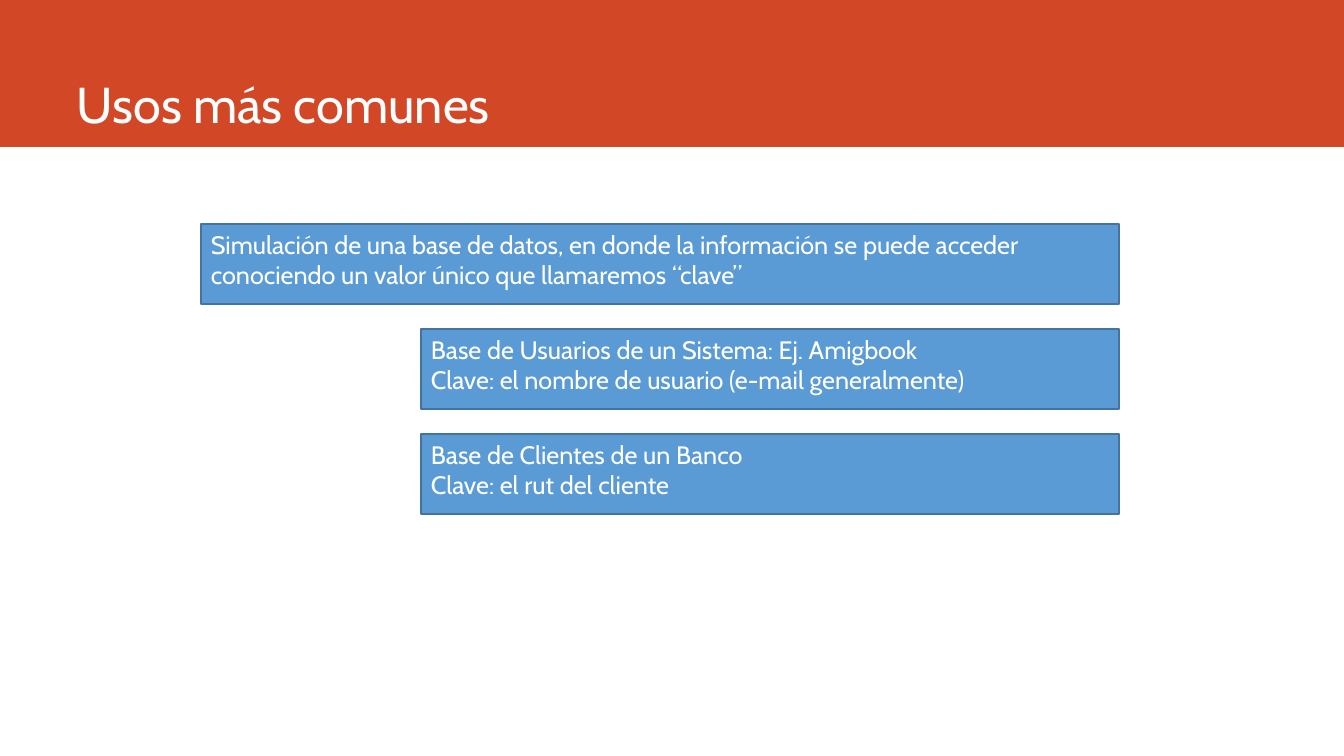
from pptx import Presentation
from pptx import util as u
from pptx.dml.color import RGBColor
from pptx.enum import shapes, text

EMU_PER_PX = 914400 / 100.8
FONT = "Cabin"
COLORS = {"band": "D24726", "box": "5B9BD5", "border": "43739E", "text": "FFFFFF"}
BOX_RIGHT, BOX_TOP, BOX_HEIGHT, BOX_PITCH = 1119, 224, 80, 105
BOXES = [
    (201, ["Simulación de una base de datos, en donde la información se puede "
           "acceder conociendo un valor único que llamaremos “clave”"]),
    (421, ["Base de Usuarios de un Sistema: Ej. Amigbook",
           "Clave: el nombre de usuario (e-mail generalmente)"]),
    (421, ["Base de Clientes de un Banco", "Clave: el rut del cliente"]),
]


def px(n):
    return u.Emu(round(n * EMU_PER_PX))


def color(name):
    return RGBColor.from_string(COLORS[name])


def add_rect(s, x, y, w, h, fill, border=None):
    sp = s.shapes.add_shape(shapes.MSO_SHAPE.RECTANGLE, px(x), px(y), px(w), px(h))
    sp.shadow.inherit = False
    sp.fill.solid()
    sp.fill.fore_color.rgb = color(fill)
    if border:
        sp.line.color.rgb = color(border)
        sp.line.width = u.Pt(1)
    else:
        sp.line.fill.background()
    return sp


def write(tf, lines, size, anchor):
    tf.word_wrap = True
    tf.vertical_anchor = anchor
    for i, line in enumerate(lines):
        p = tf.paragraphs[0] if i == 0 else tf.add_paragraph()
        p.text = line
        p.alignment = text.PP_ALIGN.LEFT
        p.font.name = FONT
        p.font.size = u.Pt(size)
        p.font.color.rgb = color("text")


def add_title(s, title):
    sp = s.shapes.add_textbox(px(67), px(0), px(1184), px(135))
    sp.text_frame.margin_bottom = px(1)
    write(sp.text_frame, [title], 36, text.MSO_ANCHOR.BOTTOM)


def add_box(s, x, y, lines):
    sp = add_rect(s, x, y, BOX_RIGHT - x, BOX_HEIGHT, "box", "border")
    write(sp.text_frame, lines, 18, text.MSO_ANCHOR.TOP)


def main():
    prs = Presentation()
    prs.slide_width, prs.slide_height = px(1344), px(756)
    s = prs.slides.add_slide(prs.slide_layouts[6])
    add_rect(s, 0, 0, 1344, 147, "band")
    add_title(s, "Usos más comunes")
    for i, (x, lines) in enumerate(BOXES):
        add_box(s, x, BOX_TOP + i * BOX_PITCH, lines)
    prs.save("out.pptx")


if __name__ == "__main__":
    main()
